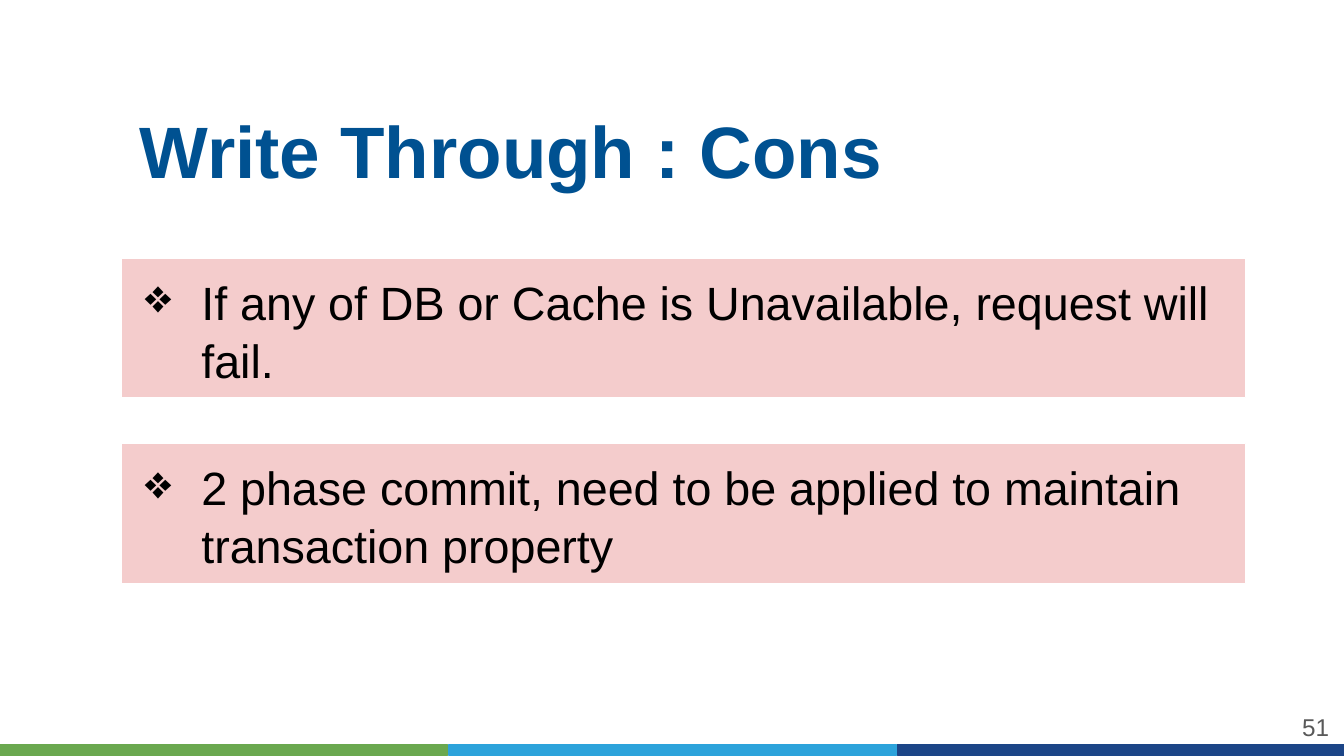
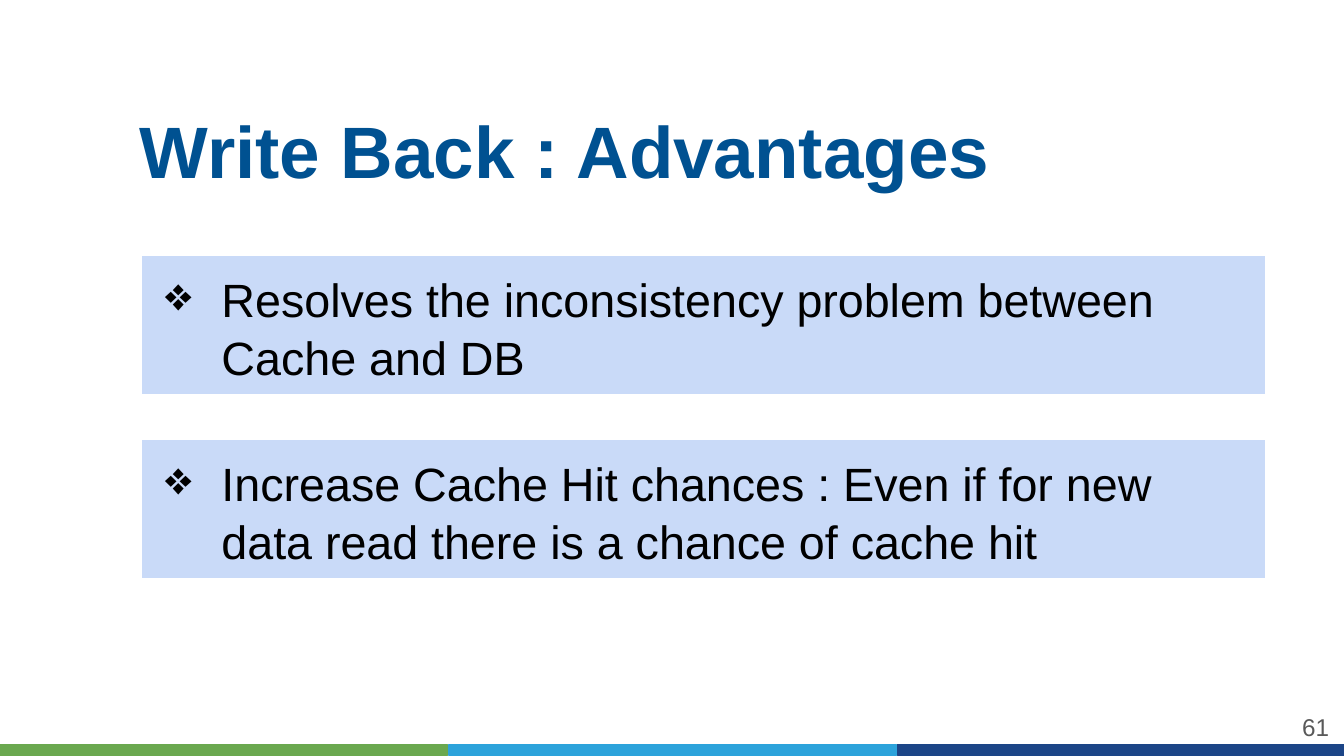
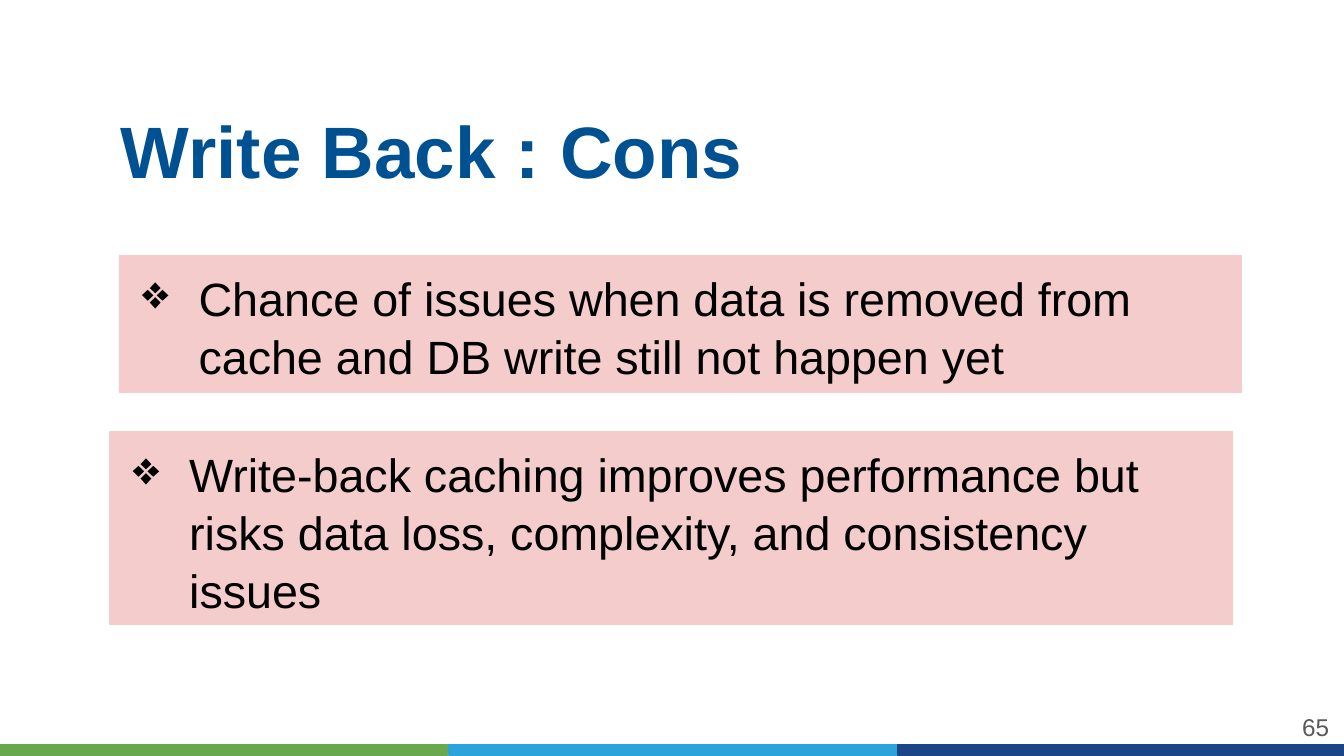
from lxml import etree
from pptx import Presentation
from pptx.dml.color import RGBColor
from pptx.enum.shapes import MSO_SHAPE
from pptx.enum.text import MSO_ANCHOR, MSO_AUTO_SIZE, PP_ALIGN
from pptx.oxml.ns import qn
from pptx.util import Inches, Pt

RECT = MSO_SHAPE.RECTANGLE
LEFT, RIGHT = PP_ALIGN.LEFT, PP_ALIGN.RIGHT
TOP, MIDDLE, BOTTOM = MSO_ANCHOR.TOP, MSO_ANCHOR.MIDDLE, MSO_ANCHOR.BOTTOM
NO_FIT, GROW = MSO_AUTO_SIZE.NONE, MSO_AUTO_SIZE.SHAPE_TO_FIT_TEXT

WHITE = RGBColor(0xFF, 0xFF, 0xFF)
BLACK = RGBColor(0x00, 0x00, 0x00)
GRAY = RGBColor(0x59, 0x59, 0x59)
TITLE_BLUE = RGBColor(0x00, 0x51, 0x91)
GREEN = RGBColor(0x6A, 0xA8, 0x4F)
SKY = RGBColor(0x2C, 0xA3, 0xDB)
NAVY = RGBColor(0x1C, 0x45, 0x87)
PINK = RGBColor(0xF4, 0xCC, 0xCC)
PALE_BLUE = RGBColor(0xC9, 0xDA, 0xF8)

FONT = "Arial"
WIDTH, HEIGHT = Inches(10), Inches(5.625)
COLS, ROWS = 100, 56.25
BAR_PITCH = 33.4
CARD_WIDTH = 83.7
LINE_ROWS = 4.2
CARD_PADDING = 2


class Deck:
    def __init__(self):
        self.prs = Presentation()
        self.prs.slide_width, self.prs.slide_height = WIDTH, HEIGHT
        self.s = None

    def grid(self, col, row, cols, rows):
        x, y = WIDTH / COLS, HEIGHT / ROWS
        return [round(v) for v in (col * x, row * y, cols * x, rows * y)]

    def slide(self, title, title_col, number):
        self.s = self.prs.slides.add_slide(self.prs.slide_layouts[5])
        self.bars()
        self.number(number)
        self.title(title, title_col)

    def text(self, sp, text, size, color, align=LEFT, anchor=TOP, inset=0.07, bold=False, fit=NO_FIT):
        tf = sp.text_frame
        tf.text = text
        tf.word_wrap, tf.auto_size, tf.vertical_anchor = True, fit, anchor
        tf.margin_left = tf.margin_right = tf.margin_top = tf.margin_bottom = Inches(inset)
        p = tf.paragraphs[0]
        p.alignment = align
        font = p.runs[0].font
        font.name, font.size, font.bold = FONT, Pt(size), bold
        font.color.rgb = color
        return p

    def box(self, at, fill, line):
        sp = self.s.shapes.add_shape(RECT, *self.grid(*at))
        sp.shadow.inherit = False
        sp.fill.solid()
        sp.fill.fore_color.rgb = fill
        sp.line.color.rgb = line
        sp.line.width = Pt(0.75)
        return sp

    def bars(self):
        for i, color in enumerate((GREEN, SKY, NAVY)):
            self.box((i * BAR_PITCH, 55.4, 33.3, 0.8), color, color)

    def number(self, number):
        sp = self.s.shapes.add_textbox(*self.grid(93.6, 51.9, 6, 4.3))
        self.text(sp, str(number), 13, GRAY, RIGHT, MIDDLE)

    def title(self, text, col):
        sp = self.s.shapes.title
        sp.left, sp.top, sp.width, sp.height = self.grid(col, 7.1, 86.7, 8)
        self.text(sp, text, 39, TITLE_BLUE, anchor=BOTTOM, bold=True)

    def card(self, text, col, row, fill, lines=2):
        sp = self.box((col, row, CARD_WIDTH, lines * LINE_ROWS + CARD_PADDING), fill, WHITE)
        p = self.text(sp, text, 25, BLACK, inset=0.1, fit=GROW)
        self.bullet(p)
        p.line_spacing = 1.04

    def bullet(self, p):
        pPr = p._p.get_or_add_pPr()
        pPr.set("marL", str(Inches(0.5)))
        pPr.set("indent", str(Inches(-0.42)))
        color = etree.SubElement(pPr, qn("a:buClr"))
        etree.SubElement(color, qn("a:srgbClr"), val=str(BLACK))
        etree.SubElement(pPr, qn("a:buChar"), char="❖")


def main():
    deck = Deck()

    deck.slide("Write Through : Cons", 9.7, 51)
    deck.card("If any of DB or Cache is Unavailable, request will fail.", 9, 19.2, PINK)
    deck.card("2 phase commit, need to be applied to maintain transaction property", 9, 33, PINK)

    deck.slide("Write Back : Advantages", 9.7, 61)
    deck.card("Resolves the inconsistency problem between Cache and DB", 10.5, 19, PALE_BLUE)
    deck.card("Increase Cache Hit chances : Even if for new data read there is a chance of cache hit",
              10.5, 32.7, PALE_BLUE)

    deck.slide("Write Back : Cons", 8.3, 65)
    deck.card("Chance of issues when data is removed from cache and DB write still not happen yet",
              8.8, 18.9, PINK)
    deck.card("Write-back caching improves performance but risks data loss, complexity, and consistency issues",
              8.1, 32, PINK, lines=3)

    deck.prs.save("out.pptx")


if __name__ == "__main__":
    main()
